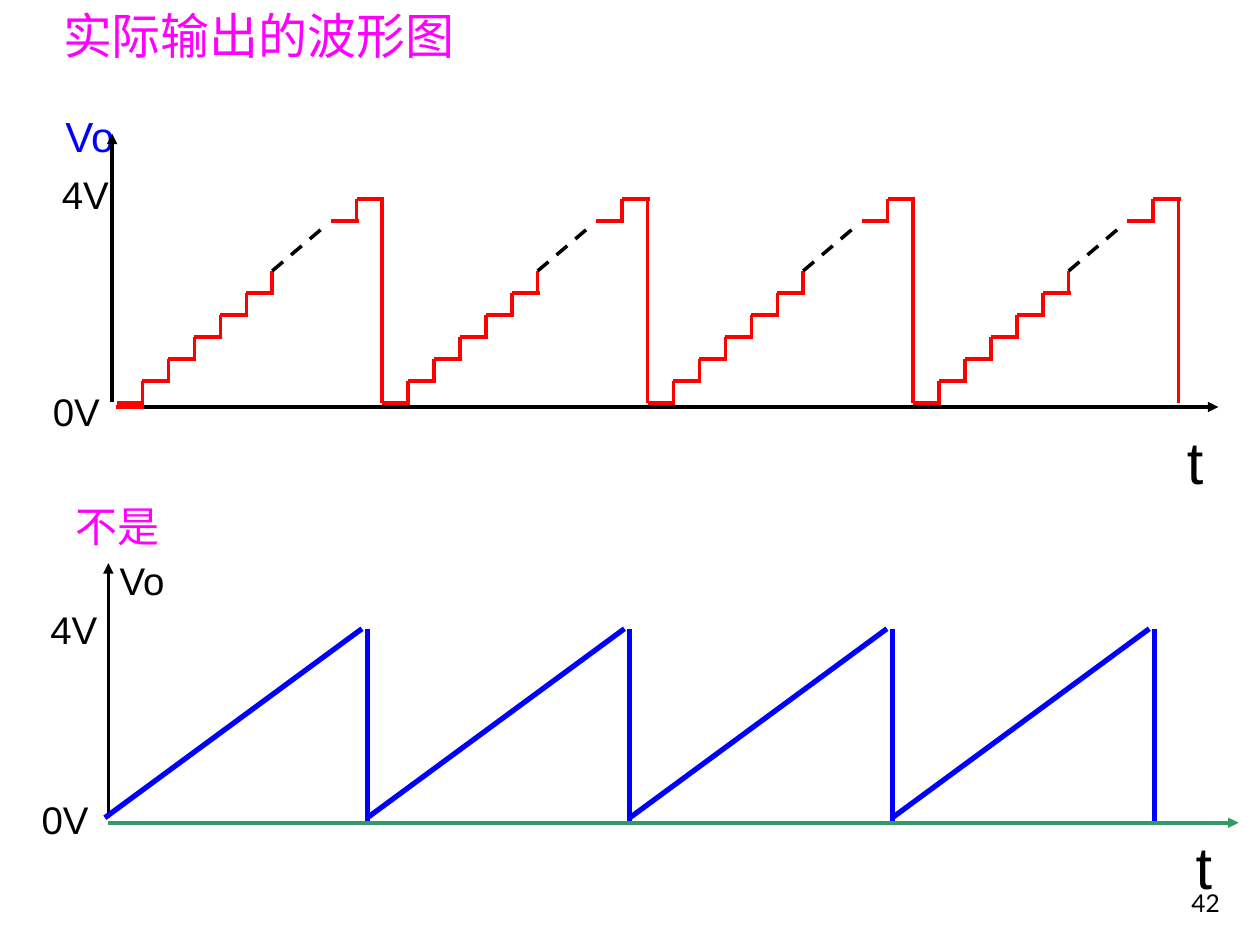
"""Build a slide comparing a stepped output waveform with an ideal sawtooth."""
from lxml import etree
from pptx import Presentation
from pptx.dml.color import RGBColor
from pptx.enum.dml import MSO_LINE
from pptx.enum.shapes import MSO_CONNECTOR
from pptx.enum.text import MSO_ANCHOR, MSO_AUTO_SIZE, PP_ALIGN
from pptx.oxml.ns import qn
from pptx.util import Inches, Pt

STRAIGHT = MSO_CONNECTOR.STRAIGHT
DASH = MSO_LINE.DASH
TOP, BOTTOM = MSO_ANCHOR.TOP, MSO_ANCHOR.BOTTOM
LEFT, RIGHT, JUSTIFY = PP_ALIGN.LEFT, PP_ALIGN.RIGHT, PP_ALIGN.JUSTIFY
FIXED, GROW = MSO_AUTO_SIZE.NONE, MSO_AUTO_SIZE.SHAPE_TO_FIT_TEXT

THEME = {
    "font": "Arial", "number_font": "Lato",
    "black": RGBColor(0, 0, 0), "red": RGBColor(255, 0, 0),
    "blue": RGBColor(0, 0, 255), "magenta": RGBColor(255, 0, 255),
    "green": RGBColor(0x33, 0x99, 0x66),
    "title": Pt(28), "heading": Pt(24), "label": Pt(22), "time": Pt(34), "number": Pt(14),
    "thin": Pt(2), "thick": Pt(3),
}

deck = Presentation()
deck.slide_width, deck.slide_height = Inches(10), Inches(7.5)
column, row = deck.slide_width / 100, deck.slide_height / 75
page = deck.slides.add_slide(deck.slide_layouts[5])


def draw_line(start, end, color="black", width="thin", dash=None, arrow=False):
    """Draw a straight line between two grid points."""
    ends = [round(n * unit) for point in (start, end) for n, unit in zip(point, (column, row))]
    line = page.shapes.add_connector(STRAIGHT, *ends)
    line.line.color.rgb = THEME[color]
    line.line.width = THEME[width]
    if dash:
        line.line.dash_style = dash
    if arrow:
        etree.SubElement(line.line._get_or_add_ln(), qn("a:tailEnd"), type="triangle")
    etree.SubElement(line._element.spPr, qn("a:effectLst"))


def write_text(box, place, text, size, color="black", font="font", align=LEFT,
               anchor=TOP, fit=FIXED, inset=(Inches(0.1), Inches(0.05))):
    """Place a box on the grid and fill it with one formatted line."""
    for name, share, unit in zip(("left", "top", "width", "height"), place, (column, row) * 2):
        setattr(box, name, round(share * unit))
    frame_format = {"word_wrap": True, "auto_size": fit, "vertical_anchor": anchor,
                    "margin_left": inset[0], "margin_right": inset[0],
                    "margin_top": inset[1], "margin_bottom": inset[1]}
    for name, value in frame_format.items():
        setattr(box.text_frame, name, value)
    para = box.text_frame.paragraphs[0]
    para.alignment = align
    span = para.add_run()
    span.text = text
    for name, value in {"size": THEME[size], "name": THEME[font]}.items():
        setattr(span.font, name, value)
    span.font.color.rgb = THEME[color]


write_text(page.shapes.title, (4, -0.1, 41.7, 5.7), "实际输出的波形图", "title", "magenta", fit=GROW)

headings = [
    ((4.2, 8.3, 15.8, 5), "Vo", "blue"),
    ((5, 39.2, 22.5, 5), "不是", "magenta"),
]
for place, text, color in headings:
    write_text(page.shapes.add_textbox(0, 0, 0, 0), place, text, "heading", color, fit=GROW)

axis_labels = [
    ((4.9, 13.6, 5.1, 4.1), "4V", "label"),
    ((4.2, 30.8, 5, 3.7), "0V", "label"),
    ((94.2, 33.7, 3.1, 3.6), "t", "time"),
    ((9.5, 44.2, 4.1, 4.1), "Vo", "label"),
    ((4, 48.1, 5.1, 3.6), "4V", "label"),
    ((3.3, 63.2, 5, 3.3), "0V", "label"),
    ((94.9, 65.9, 2.3, 4.1), "t", "time"),
]
for place, text, size in axis_labels:
    write_text(page.shapes.add_textbox(0, 0, 0, 0), place, text, size, align=JUSTIFY, inset=(0, 0))

write_text(page.shapes.add_textbox(0, 0, 0, 0), (77, 68.3, 20.8, 5), "42", "number",
           font="number_font", align=RIGHT, anchor=BOTTOM)

axes = [
    ((9.6, 32.3), (96.7, 32.3), "black"),
    ((8.9, 31.9), (8.9, 10.6), "black"),
    ((8.6, 65.3), (98.3, 65.3), "green"),
    ((8.6, 64.9), (8.6, 44.7), "black"),
]
for start, end, color in axes:
    draw_line(start, end, color, arrow=True)

CYCLES = 4
STAIR_LEFT, STAIR_CYCLE, GROUND, PEAK = 9.25, 21.07, 32, 15.8
TREAD, RISER, OVERLAP = 2.06, 1.75, 0.15
STEPS = [0, 1, 2, 3, 4, 5, 8.25, 9.25]
GAP_START, GAP_END = 6, 8.1

draw_line((9.2, 32.3), (11.4, 32.3), "red")
for cycle in range(CYCLES):
    left = STAIR_LEFT + cycle * STAIR_CYCLE
    for step in STEPS:
        x, y = left + step * TREAD, GROUND - step * RISER
        draw_line((x, y), (x + TREAD + OVERLAP, y), "red")
        if step != STEPS[-1]:
            draw_line((x + TREAD, y - RISER), (x + TREAD, y + OVERLAP), "red")
    gap = [(left + step * TREAD, GROUND - step * RISER) for step in (GAP_START, GAP_END)]
    draw_line(*gap, dash=DASH)
    drop = left + STAIR_CYCLE
    draw_line((drop, PEAK), (drop, GROUND), "red")

SAW_LEFT, SAW_CYCLE, RAMP, SAW_PEAK = 8.33, 20.83, 20.4, 49.9
for cycle in range(CYCLES):
    left = SAW_LEFT + cycle * SAW_CYCLE
    drop = left + SAW_CYCLE
    draw_line((left, 64.9), (left + RAMP, SAW_PEAK), "blue", "thick")
    draw_line((drop, SAW_PEAK), (drop, 65.2), "blue", "thick")

deck.save("out.pptx")
